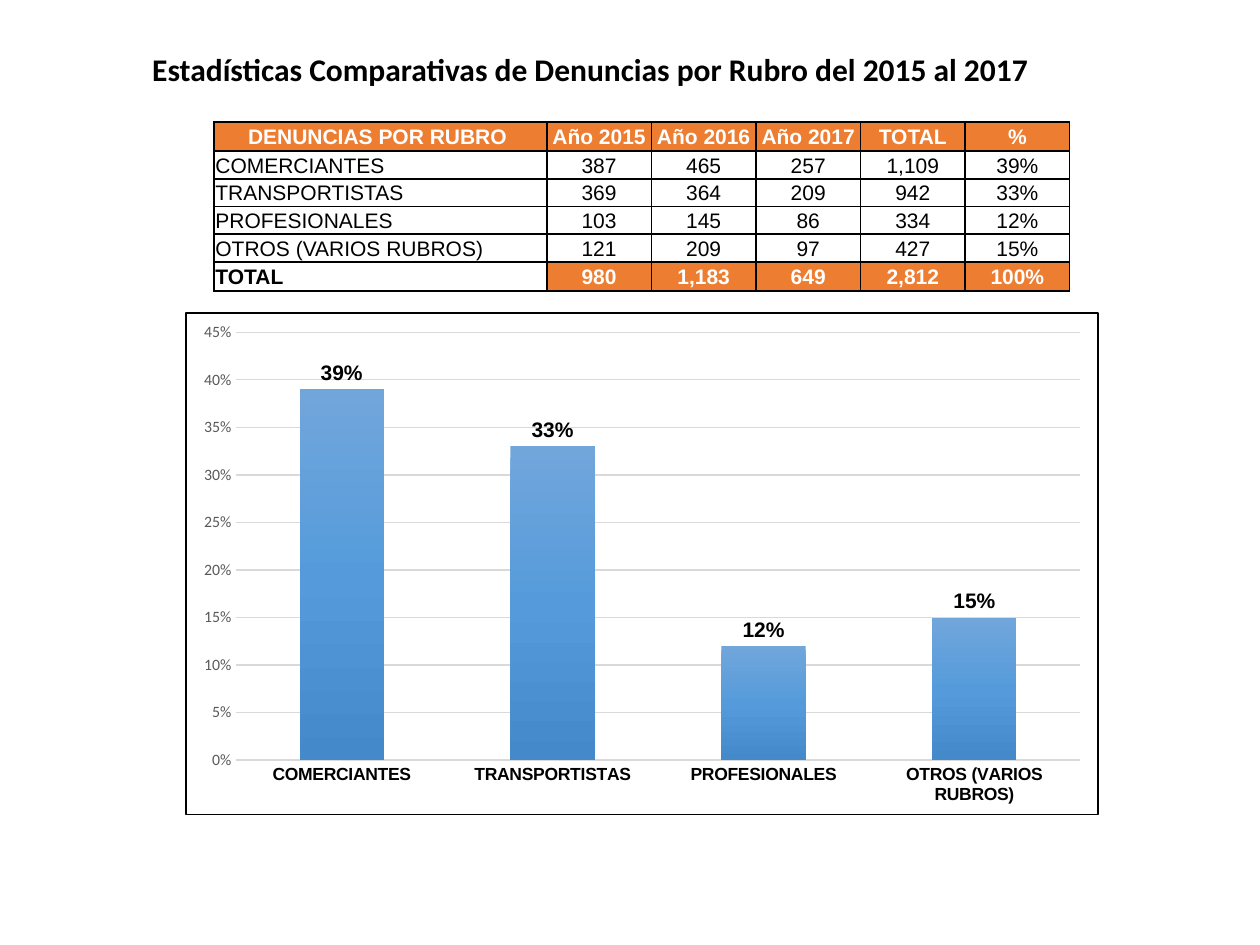
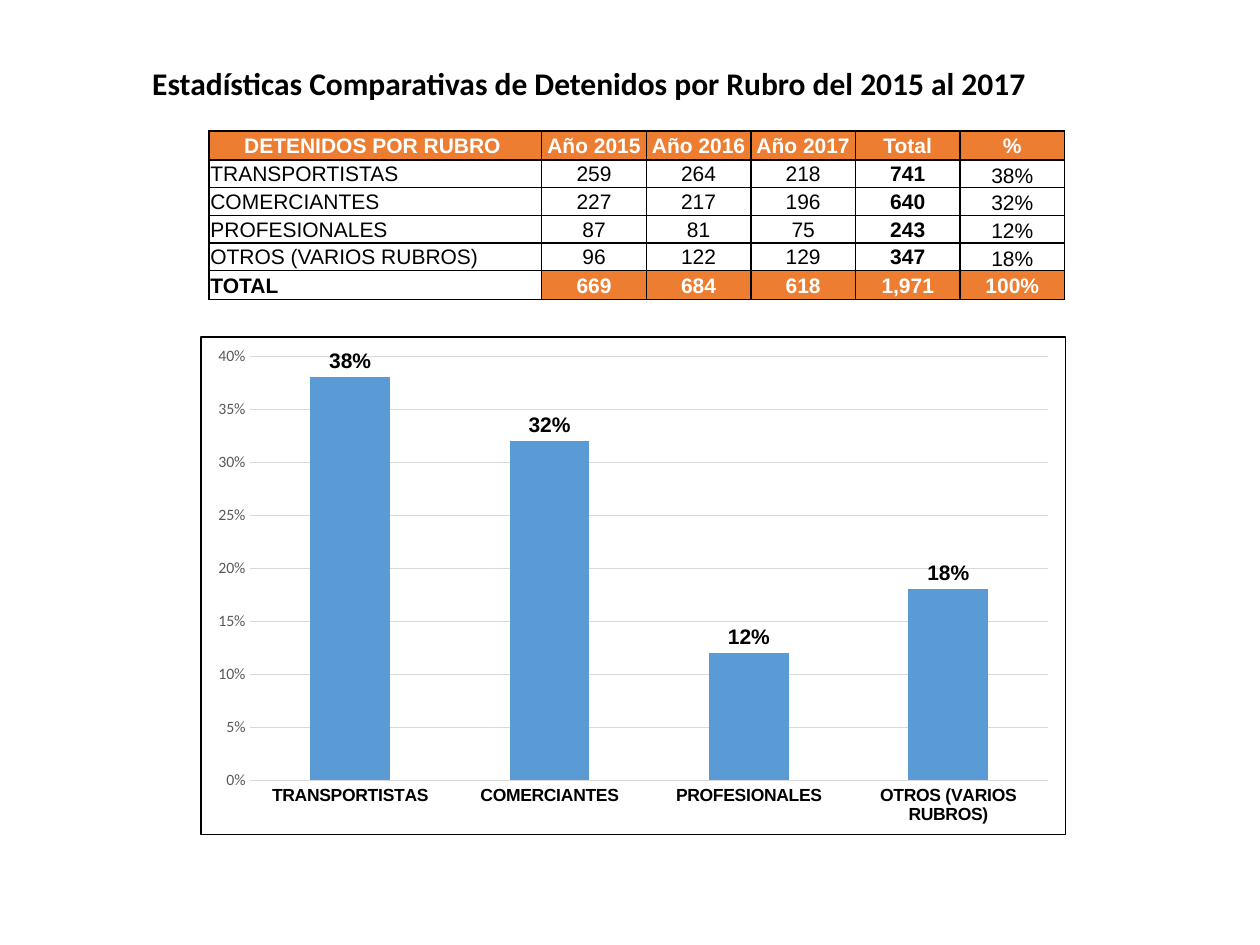
from copy import deepcopy

from lxml import etree
from pptx import Presentation
from pptx.chart.data import CategoryChartData
from pptx.dml.color import RGBColor
from pptx.enum.chart import XL_CHART_TYPE, XL_LABEL_POSITION, XL_TICK_MARK
from pptx.enum.text import MSO_ANCHOR, PP_ALIGN
from pptx.oxml import parse_xml
from pptx.oxml.ns import nsdecls, qn
from pptx.util import Inches, Pt

COLUMNS = XL_CHART_TYPE.COLUMN_CLUSTERED
OUTSIDE = XL_LABEL_POSITION.OUTSIDE_END
NO_TICK = XL_TICK_MARK.NONE
MIDDLE, BOTTOM = MSO_ANCHOR.MIDDLE, MSO_ANCHOR.BOTTOM
LEFT, CENTER = PP_ALIGN.LEFT, PP_ALIGN.CENTER

BLACK, WHITE, ORANGE = "000000", "FFFFFF", "ED7D31"
GRID, AXIS_TEXT = "D9D9D9", "595959"
COL_WIDTHS = [2.64] + [0.83] * 5
ROW_HEIGHTS = [0.23] + [0.22] * 4 + [0.23]

SLIDES = [
    {
        "title": "Estadísticas Comparativas de Denuncias por Rubro del 2015 al 2017",
        "title_top": 0.35,
        "table_at": (1.7, 0.97),
        "rows": [
            ("DENUNCIAS POR RUBRO ", "Año 2015", "Año 2016", "Año 2017", "TOTAL", "%"),
            ("COMERCIANTES", "387", "465", "257", "1,109", "39%"),
            ("TRANSPORTISTAS", "369", "364", "209", "942", "33%"),
            ("PROFESIONALES", "103", "145", "86", "334", "12%"),
            ("OTROS (VARIOS RUBROS)", "121", "209", "97", "427", "15%"),
            ("TOTAL", "980", "1,183", "649", "2,812", "100%"),
        ],
        "bold_totals": False,
        "percent_anchor": MIDDLE,
        "chart_at": (1.47, 2.48, 7.25, 3.99),
        "axis_max": 0.45,
        "axis_line": True,
        "bar_colors": ["71A6DB", "559BDB", "448ACA"],
    },
    {
        "title": "Estadísticas Comparativas de Detenidos por Rubro del 2015 al 2017",
        "title_top": 0.46,
        "table_at": (1.66, 1.04),
        "rows": [
            ("DETENIDOS POR RUBRO ", "Año 2015", "Año 2016", "Año 2017", "Total", "%"),
            ("TRANSPORTISTAS", "259", "264", "218", "741", "38%"),
            ("COMERCIANTES", "227", "217", "196", "640", "32%"),
            ("PROFESIONALES", "87", "81", "75", "243", "12%"),
            ("OTROS (VARIOS RUBROS)", "96", "122", "129", "347", "18%"),
            ("TOTAL", "669", "684", "618", "1,971", "100%"),
        ],
        "bold_totals": True,
        "percent_anchor": BOTTOM,
        "chart_at": (1.59, 2.67, 6.87, 3.96),
        "axis_max": 0.4,
        "axis_line": False,
        "bar_colors": ["5B9BD5"],
    },
]


def rgb(color):
    return RGBColor.from_string(color)


def set_font(font, name, size, color=BLACK, bold=False):
    font.name, font.size, font.bold = name, Pt(size), bold
    font.color.rgb = rgb(color)


def add_title(s, text, top):
    tf = s.shapes.add_textbox(Inches(1.11), Inches(top), Inches(7.84), Inches(0.4)).text_frame
    tf.word_wrap = True
    p = tf.paragraphs[0]
    p.text = text
    set_font(p.font, "Calibri", 18, bold=True)


def add_borders(cell):
    tc_pr = cell._tc.get_or_add_tcPr()
    for i, side in enumerate(("lnL", "lnR", "lnT", "lnB")):
        ln = etree.Element(qn(f"a:{side}"), w=str(Pt(1)))
        fill = etree.SubElement(ln, qn("a:solidFill"))
        etree.SubElement(fill, qn("a:srgbClr"), val=BLACK)
        tc_pr.insert(i, ln)


def add_rubro_table(s, data):
    rows = data["rows"]
    last_row, total_col, percent_col = len(rows) - 1, 4, 5
    left, top = data["table_at"]
    table = s.shapes.add_table(
        len(rows), len(COL_WIDTHS), Inches(left), Inches(top),
        Inches(sum(COL_WIDTHS)), Inches(sum(ROW_HEIGHTS))).table
    for column, width in zip(table.columns, COL_WIDTHS):
        column.width = Inches(width)
    for r, (row, height) in enumerate(zip(rows, ROW_HEIGHTS)):
        table.rows[r].height = Inches(height)
        for c, text in enumerate(row):
            cell = table.cell(r, c)
            cell.margin_left = cell.margin_right = cell.margin_top = Inches(0.01)
            cell.margin_bottom = 0
            edge = r in (0, last_row)
            filled = r == 0 or (r == last_row and c > 0)
            cell.vertical_anchor = (
                data["percent_anchor"] if c == percent_col and not edge else MIDDLE)
            if filled:
                cell.fill.solid()
                cell.fill.fore_color.rgb = rgb(ORANGE)
            else:
                cell.fill.background()
            add_borders(cell)
            p = cell.text_frame.paragraphs[0]
            p.text = text
            p.alignment = LEFT if c == 0 and r > 0 else CENTER
            bold = edge or (c == total_col and data["bold_totals"])
            set_font(p.font, "Arial", 12, WHITE if filled else BLACK, bold)


def fill_bars(fill, colors):
    if len(colors) == 1:
        fill.solid()
        fill.fore_color.rgb = rgb(colors[0])
        return
    fill.gradient()
    fill.gradient_angle = 270
    stop_list = fill._fill._gradFill.find(qn("a:gsLst"))
    while len(stop_list) < len(colors):
        stop_list.append(deepcopy(stop_list[0]))
    for i, (stop, color) in enumerate(zip(fill.gradient_stops, colors)):
        stop.position = i / (len(colors) - 1)
        stop.color.rgb = rgb(color)


def add_border(chart):
    chart.element.find(qn("c:chart")).addnext(parse_xml(
        f'<c:spPr {nsdecls("c", "a")}><a:noFill/><a:ln w="{Pt(0.75)}">'
        f'<a:solidFill><a:srgbClr val="{BLACK}"/></a:solidFill></a:ln></c:spPr>'))


def add_percent_chart(s, data):
    body = data["rows"][1:-1]
    chart_data = CategoryChartData(number_format="0%")
    chart_data.categories = [row[0] for row in body]
    chart_data.add_series("Series 1", [int(row[-1].rstrip("%")) / 100 for row in body])
    chart = s.shapes.add_chart(COLUMNS, *map(Inches, data["chart_at"]), chart_data).chart
    chart.has_legend = chart.has_title = False
    set_font(chart.font, "Calibri", 10)
    add_border(chart)

    cat, val = chart.category_axis, chart.value_axis
    for axis in (cat, val):
        axis.major_tick_mark = axis.minor_tick_mark = NO_TICK
        axis.format.line.fill.background()
    set_font(cat.tick_labels.font, "Arial", 10, bold=True)
    if data["axis_line"]:
        cat.format.line.color.rgb = rgb(GRID)
        cat.format.line.width = Pt(1)
    set_font(val.tick_labels.font, "Calibri", 9, AXIS_TEXT)
    val.tick_labels.number_format = "0%"
    val.tick_labels.number_format_is_linked = False
    val.minimum_scale, val.maximum_scale, val.major_unit = 0, data["axis_max"], 0.05
    val.major_gridlines.format.line.color.rgb = rgb(GRID)
    val.major_gridlines.format.line.width = Pt(0.75)

    plot = chart.plots[0]
    plot.gap_width = 150
    plot.vary_by_categories = False
    fill_bars(plot.series[0].format.fill, data["bar_colors"])
    labels = plot.series[0].data_labels
    labels.show_value = True
    labels.position = OUTSIDE
    labels.number_format, labels.number_format_is_linked = "0%", False
    set_font(labels.font, "Arial", 12, bold=True)


def main():
    prs = Presentation()
    prs.slide_width, prs.slide_height = Inches(10), Inches(7.5)
    for data in SLIDES:
        s = prs.slides.add_slide(prs.slide_layouts[6])
        add_rubro_table(s, data)
        add_percent_chart(s, data)
        add_title(s, data["title"], data["title_top"])
    prs.save("out.pptx")


if __name__ == "__main__":
    main()
